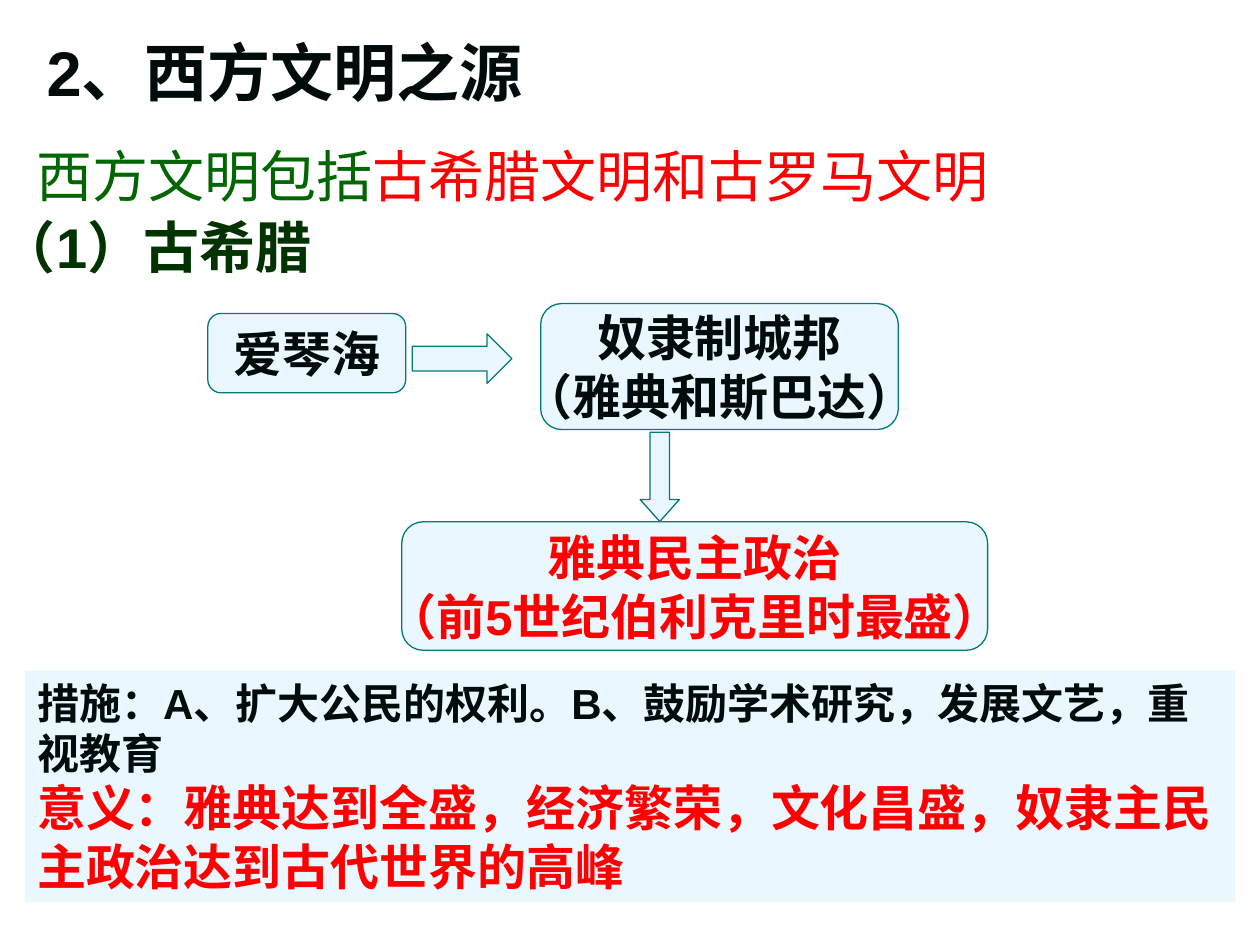
from pptx import Presentation
from pptx.dml.color import RGBColor
from pptx.enum.shapes import MSO_SHAPE
from pptx.enum.text import MSO_ANCHOR, MSO_AUTO_SIZE, PP_ALIGN
from pptx.util import Cm, Pt

ROUNDED = MSO_SHAPE.ROUNDED_RECTANGLE
RECTANGLE = MSO_SHAPE.RECTANGLE
ARROW = MSO_SHAPE.RIGHT_ARROW
TOP, MIDDLE = MSO_ANCHOR.TOP, MSO_ANCHOR.MIDDLE
LEFT, CENTER = PP_ALIGN.LEFT, PP_ALIGN.CENTER
NO_FIT = MSO_AUTO_SIZE.NONE
TITLE_ONLY = 5

INK, RED = "000C0C", "FF0000"
GREEN, DARK_GREEN = "006600", "003300"
PALE, TEAL = "EBF7FF", "007A77"


def color(value):
    return RGBColor.from_string(value)


def apply(target, values):
    for name, value in values.items():
        setattr(target, name, value)


class SlideBuilder:
    font = "Arial"
    margins = {"margin_left": Cm(0.25), "margin_right": Cm(0.25),
               "margin_top": Cm(0.13), "margin_bottom": Cm(0.13)}

    def __init__(self, slide):
        self.slide = slide

    def fill_text(self, shape, lines, align=LEFT, anchor=TOP, wrap=False):
        frame = shape.text_frame
        apply(frame, {**self.margins, "auto_size": NO_FIT,
                      "word_wrap": wrap, "vertical_anchor": anchor})
        for index, runs in enumerate(lines):
            paragraph = frame.add_paragraph() if index else frame.paragraphs[0]
            apply(paragraph, {"alignment": align, "space_before": Pt(0)})
            for words, size, ink, bold in runs:
                run = paragraph.add_run()
                run.text = words
                apply(run.font, {"name": self.font, "size": Pt(size), "bold": bold})
                run.font.color.rgb = color(ink)

    def title(self, box, words):
        title = self.slide.shapes.title
        apply(title, dict(zip(("left", "top", "width", "height"), map(Cm, box))))
        self.fill_text(title, [[(words, 36, INK, True)]], anchor=MIDDLE)

    def text(self, box, runs):
        self.fill_text(self.slide.shapes.add_textbox(*map(Cm, box)), [runs])

    def shape(self, kind, box, outline=TEAL):
        shape = self.slide.shapes.add_shape(kind, *map(Cm, box))
        shape.shadow.inherit = False
        shape.fill.solid()
        shape.fill.fore_color.rgb = color(PALE)
        if outline:
            shape.line.color.rgb = color(outline)
            shape.line.width = Pt(0.75)
        else:
            shape.line.fill.background()
        return shape

    def node(self, box, lines, ink=INK):
        self.fill_text(self.shape(ROUNDED, box),
                       [[(line, 28, ink, True)] for line in lines], CENTER, MIDDLE)

    def arrow(self, box, head=0.5, rotation=0):
        arrow = self.shape(ARROW, box)
        arrow.adjustments[1] = head
        arrow.rotation = rotation

    def panel(self, box, lines):
        self.fill_text(self.shape(RECTANGLE, box, None), lines, wrap=True)


def main():
    deck = Presentation()
    apply(deck, {"slide_width": Cm(25.4), "slide_height": Cm(19.05)})
    page = SlideBuilder(deck.slides.add_slide(deck.slide_layouts[TITLE_ONLY]))

    page.title((0.69, 0.53, 12.01, 1.8), "2、西方文明之源")
    page.text((0.48, 2.72, 19.71, 1.63),
              [("西方文明包括", 32, GREEN, False),
               ("古希腊文明和古罗马文明", 32, RED, False)])
    page.text((-0.25, 4.15, 7.32, 1.63), [("（1）古希腊", 32, DARK_GREEN, True)])

    page.node((4.19, 6.32, 3.99, 1.6), ["爱琴海"])
    page.node((10.9, 6.12, 7.21, 2.54), ["奴隶制城邦", "（雅典和斯巴达）"])
    page.node((8.1, 10.52, 11.81, 2.59),
              ["雅典民主政治", "（前5世纪伯利克里时最盛）"], RED)
    page.arrow((8.31, 6.73, 2.01, 1))
    page.arrow((12.4, 9.22, 1.8, 0.79), 0.56, 90)

    page.panel((0.5, 13.52, 24.4, 4.67), [
        [("措施：A、扩大公民的权利。B、鼓励学术研究，发展文艺，重视教育", 24, INK, True)],
        [("意义：雅典达到全盛，经济繁荣，文化昌盛，奴隶主民主政治达到古代世界的高峰",
          28, RED, True)]])
    deck.save("out.pptx")


if __name__ == "__main__":
    main()
